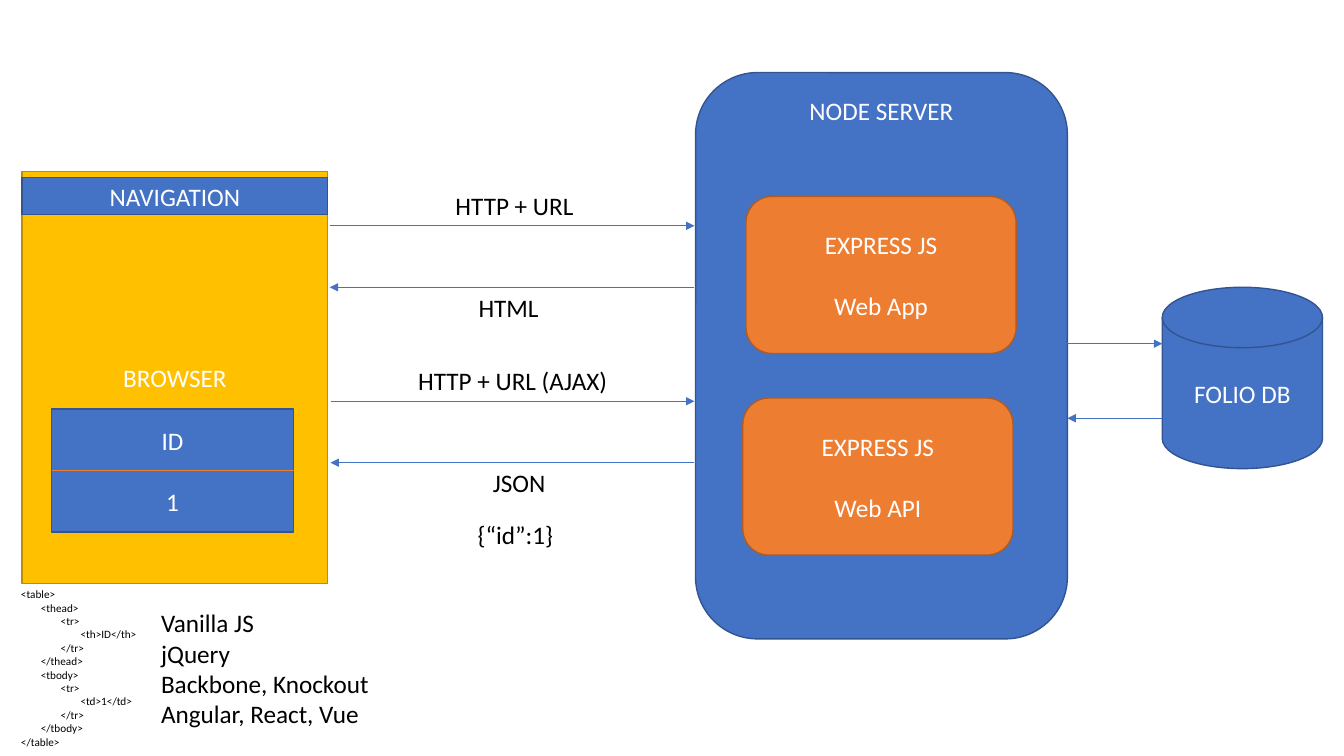
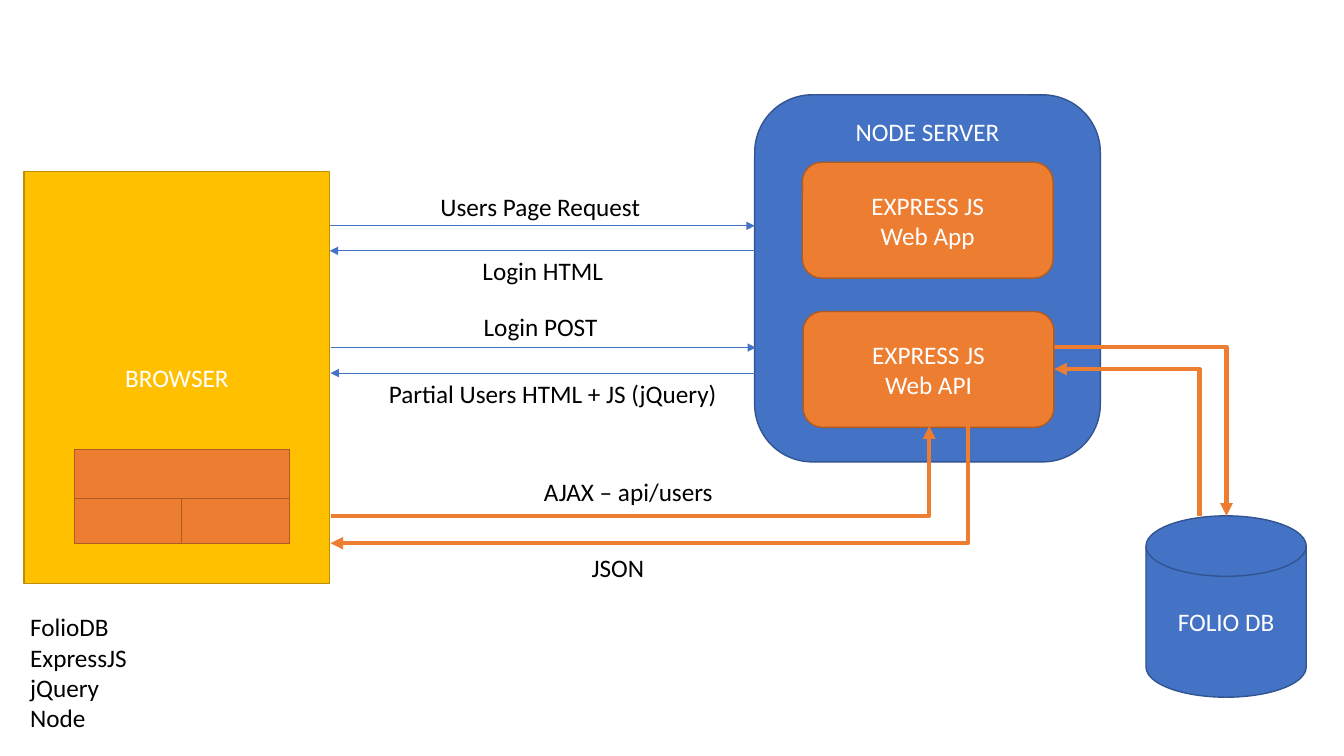
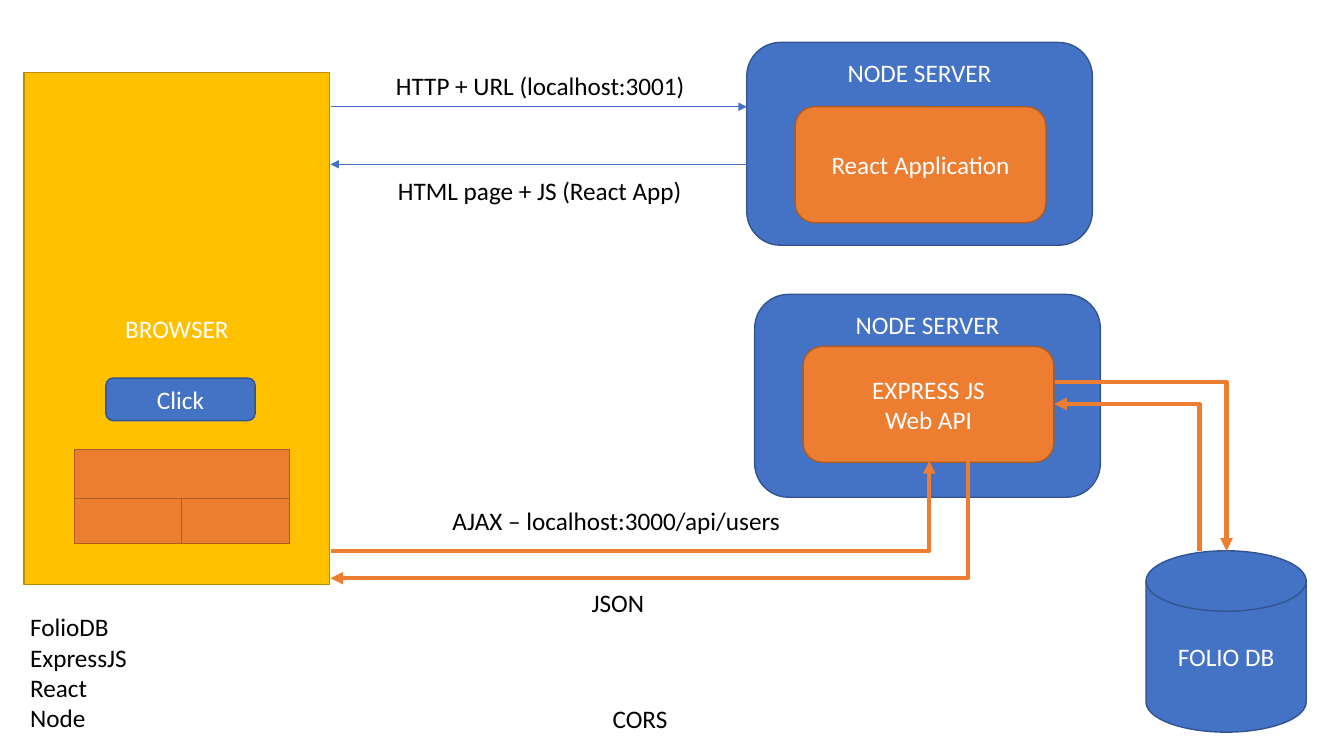
from dataclasses import dataclass

from lxml.etree import SubElement
from pptx import Presentation
from pptx.dml.color import RGBColor
from pptx.enum.shapes import MSO_CONNECTOR, MSO_SHAPE
from pptx.enum.text import MSO_ANCHOR, PP_ALIGN
from pptx.oxml.ns import qn
from pptx.slide import Slide
from pptx.text.text import TextFrame
from pptx.util import Cm, Pt

WHITE = RGBColor(0xFF, 0xFF, 0xFF)
BLACK = RGBColor(0x00, 0x00, 0x00)
BLUE = RGBColor(0x44, 0x72, 0xC4)
NAVY = RGBColor(0x32, 0x54, 0x91)
ORANGE = RGBColor(0xED, 0x7D, 0x31)
RUST = RGBColor(0xAF, 0x5C, 0x24)
GOLD = RGBColor(0xFF, 0xC0, 0x00)
OCHRE = RGBColor(0xBD, 0x8E, 0x00)

FONT = {"name": "Calibri", "size": Pt(18)}
SMALL = FONT | {"size": Pt(8)}
ROW = 1.02
LEFT = 8.33
INDENT = 0.5


@dataclass(frozen=True)
class Style:
    form: MSO_SHAPE
    fill: RGBColor
    edge: RGBColor
    anchor: MSO_ANCHOR = MSO_ANCHOR.MIDDLE


@dataclass(frozen=True)
class Box:
    style: Style
    x: float
    y: float
    w: float
    h: float
    text: str = ""
    gap: float = 0


@dataclass(frozen=True)
class Label:
    x: float
    y: float
    w: float
    text: str
    h: float = ROW


@dataclass(frozen=True)
class Link:
    x: float
    y: float
    to_x: float
    to_y: float
    color: RGBColor = BLUE
    width: float = 0.5
    tip: str = "tailEnd"
    bent: bool = False


DISK = Style(MSO_SHAPE.FLOWCHART_MAGNETIC_DISK, BLUE, NAVY)
SERVER = Style(MSO_SHAPE.ROUNDED_RECTANGLE, BLUE, NAVY, MSO_ANCHOR.TOP)
BUTTON = Style(MSO_SHAPE.ROUNDED_RECTANGLE, BLUE, NAVY)
APP = Style(MSO_SHAPE.ROUNDED_RECTANGLE, ORANGE, RUST)
CLIENT = Style(MSO_SHAPE.RECTANGLE, GOLD, OCHRE)
PANEL = Style(MSO_SHAPE.RECTANGLE, BLUE, NAVY)
CELL = Style(MSO_SHAPE.RECTANGLE, ORANGE, RUST)

MARKUP = (
    (0, "<table>"), (1, "<thead>"), (2, "<tr>"), (3, "<th>ID</th>"),
    (2, "</tr>"), (1, "</thead>"), (1, "<tbody>"), (2, "<tr>"),
    (3, "<td>1</td>"), (2, "</tr>"), (1, "</tbody>"), (0, "</table>"),
)


def write(frame: TextFrame, text: str, color: RGBColor, align: PP_ALIGN,
          font: dict = FONT, gap: float = 0) -> None:
    frame.text = text
    for index, para in enumerate(frame.paragraphs):
        para.alignment = align
        if index and gap:
            para.space_before = Pt(gap)
        for run in para.runs:
            for name, value in font.items():
                setattr(run.font, name, value)
            run.font.color.rgb = color


def add_box(slide: Slide, box: Box) -> None:
    style = box.style
    shape = slide.shapes.add_shape(style.form, Cm(box.x), Cm(box.y), Cm(box.w), Cm(box.h))
    shape.shadow.inherit = False
    shape.fill.solid()
    shape.fill.fore_color.rgb = style.fill
    shape.line.color.rgb = style.edge
    shape.line.width = Pt(1)
    if box.text:
        shape.text_frame.vertical_anchor = style.anchor
        write(shape.text_frame, box.text, WHITE, PP_ALIGN.CENTER, gap=box.gap)


def add_label(slide: Slide, label: Label, font: dict = FONT) -> TextFrame:
    shape = slide.shapes.add_textbox(Cm(label.x), Cm(label.y), Cm(label.w), Cm(label.h))
    frame = shape.text_frame
    frame.word_wrap = False
    write(frame, label.text, BLACK, PP_ALIGN.LEFT, font)
    return frame


def add_link(slide: Slide, link: Link) -> None:
    kind = MSO_CONNECTOR.ELBOW if link.bent else MSO_CONNECTOR.STRAIGHT
    line = slide.shapes.add_connector(kind, Cm(link.x), Cm(link.y), Cm(link.to_x), Cm(link.to_y))
    line.line.color.rgb = link.color
    line.line.width = Pt(link.width)
    props = line._element.spPr
    if link.bent:
        props.find(qn("a:prstGeom")).set("prst", "bentConnector2")
    if link.tip:
        SubElement(props.find(qn("a:ln")), qn(f"a:{link.tip}"), type="triangle")
    SubElement(props, qn("a:effectLst"))


def draw(slide: Slide, *items: Box | Label | Link) -> None:
    tools = {Box: add_box, Label: add_label, Link: add_link}
    for item in items:
        tools[type(item)](slide, item)


def disk(x: float, y: float) -> Box:
    return Box(DISK, x, y, 4.04, 4.57, "FOLIO DB")


def server(x: float, y: float, h: float, w: float = 8.71) -> Box:
    return Box(SERVER, x, y, w, h, "NODE SERVER")


def client(x: float, y: float, h: float) -> Box:
    return Box(CLIENT, x, y, 7.7, h, "BROWSER")


def app(x: float, y: float, text: str) -> Box:
    return Box(APP, x, y, 6.32, 2.92, text)


def flow(x: float, y: float, to_x: float, to_y: float, tip: str = "tailEnd") -> Link:
    return Link(x, y, to_x, to_y, ORANGE, 3, tip, True)


def pair(x: float, to_x: float, y: float, back: float) -> tuple[Link, Link]:
    return Link(x, y, to_x, y), Link(to_x, back, x, back)


def add_api(slide: Slide, drop: float) -> None:
    top = 13 + drop
    draw(
        slide,
        disk(28.88, top),
        flow(26.34, 8.74 + drop, 30.91, top),
        flow(26.57, 9.3 + drop, 30.23, top, "headEnd"),
        app(20.24, 7.85 + drop, "EXPRESS JS\nWeb API"),
        flow(LEFT, top, 23.42, 10.74 + drop),
        flow(LEFT, 13.69 + drop, 24.4, 10.74 + drop, "headEnd"),
        Label(14.66, 13.79 + drop, 1.85, "JSON"),
    )


def add_page(slide: Slide, tool: str) -> None:
    draw(
        slide,
        Box(CELL, 1.88, 11.33, 5.41, 2.36),
        Box(CELL, 4.58, 11.33, 2.71, 2.36),
        Box(CELL, 1.88, 11.33, 5.41, 1.24),
        Label(0.51, 15.29, 3.28, f"FolioDB\nExpressJS\n{tool}\nNode", 3.33),
    )


def add_code(slide: Slide) -> None:
    text = "\n".join(line for _, line in MARKUP)
    frame = add_label(slide, Label(0.28, 14.68, 3.45, text, 4.37), SMALL)
    for para, (level, _) in zip(frame.paragraphs, MARKUP):
        para._p.get_or_add_pPr().set("marL", str(Cm(INDENT * level)))


def build_web(slide: Slide) -> None:
    draw(
        slide,
        disk(29.29, 7.24),
        server(17.53, 1.83, 14.27, 9.37),
        *pair(26.9, 29.29, 8.66, 10.54),
        client(0.56, 4.32, 10.39),
        Label(11.23, 4.67, 3.53, "HTTP + URL"),
        *pair(8.31, 17.5, 5.69, 7.24),
        Label(11.81, 7.24, 2.36, "HTML"),
        Box(PANEL, 0.56, 4.47, 7.7, 0.94, "NAVIGATION"),
        Box(PANEL, 1.3, 10.31, 6.1, 3.1, "ID\n1", 22),
        Link(1.3, 11.86, 7.4, 11.86, ORANGE, tip=""),
        Label(10.29, 9.09, 5.33, "HTTP + URL (AJAX)"),
        *pair(LEFT, 17.5, 10.11, 11.66),
        Label(12.17, 11.66, 2.16, "JSON"),
        Box(APP, 18.8, 4.95, 6.81, 3.96, "EXPRESS JS\nWeb App", 22),
        Box(APP, 18.72, 10.03, 6.81, 3.96, "EXPRESS JS\nWeb API", 22),
        Label(11.79, 12.95, 2.44, "{“id”:1}"),
        Label(3.81, 15.19, 5.79,
              "Vanilla JS\njQuery\nBackbone, Knockout\nAngular, React, Vue", 3.33),
    )
    add_code(slide)


def build_login(slide: Slide) -> None:
    draw(slide, server(19.02, 2.39, 9.25), client(0.61, 4.32, 10.39))
    add_api(slide, 0)
    draw(
        slide,
        app(20.22, 4.09, "EXPRESS JS\nWeb App"),
        *pair(8.31, 19.02, 5.69, 6.32),
        Label(10.85, 4.7, 5.59, "Users Page Request"),
        Label(11.91, 6.3, 3.58, "Login HTML"),
        *pair(LEFT, 19.05, 8.76, 9.4),
        Label(9.55, 9.4, 8.86, "Partial Users HTML + JS (jQuery)"),
        Label(11.94, 7.72, 3.4, "Login POST"),
        Label(13.46, 11.89, 4.8, "AJAX – api/users"),
    )
    add_page(slide, "jQuery")


def build_react(slide: Slide) -> None:
    draw(slide, server(19.02, 7.42, 5.11), client(0.61, 1.83, 12.9))
    add_api(slide, 0.88)
    add_page(slide, "React")
    draw(
        slide,
        Label(11.15, 12.62, 8.86, "AJAX – localhost:3000/api/users"),
        server(18.82, 1.07, 5.11),
        app(20.04, 2.69, "React Application"),
        *pair(LEFT, 18.82, 2.69, 4.14),
        Label(9.73, 1.65, 7.87, "HTTP + URL (localhost:3001)"),
        Label(9.78, 4.29, 7.75, "HTML page + JS (React App)"),
        Box(BUTTON, 2.67, 9.53, 3.76, 1.07, "Click"),
        Label(15.19, 17.6, 1.91, "CORS"),
    )


def main() -> None:
    deck = Presentation()
    deck.slide_width = Cm(33.87)
    deck.slide_height = Cm(19.05)
    for build in (build_web, build_login, build_react):
        build(deck.slides.add_slide(deck.slide_layouts[6]))
    deck.save("out.pptx")


if __name__ == "__main__":
    main()
